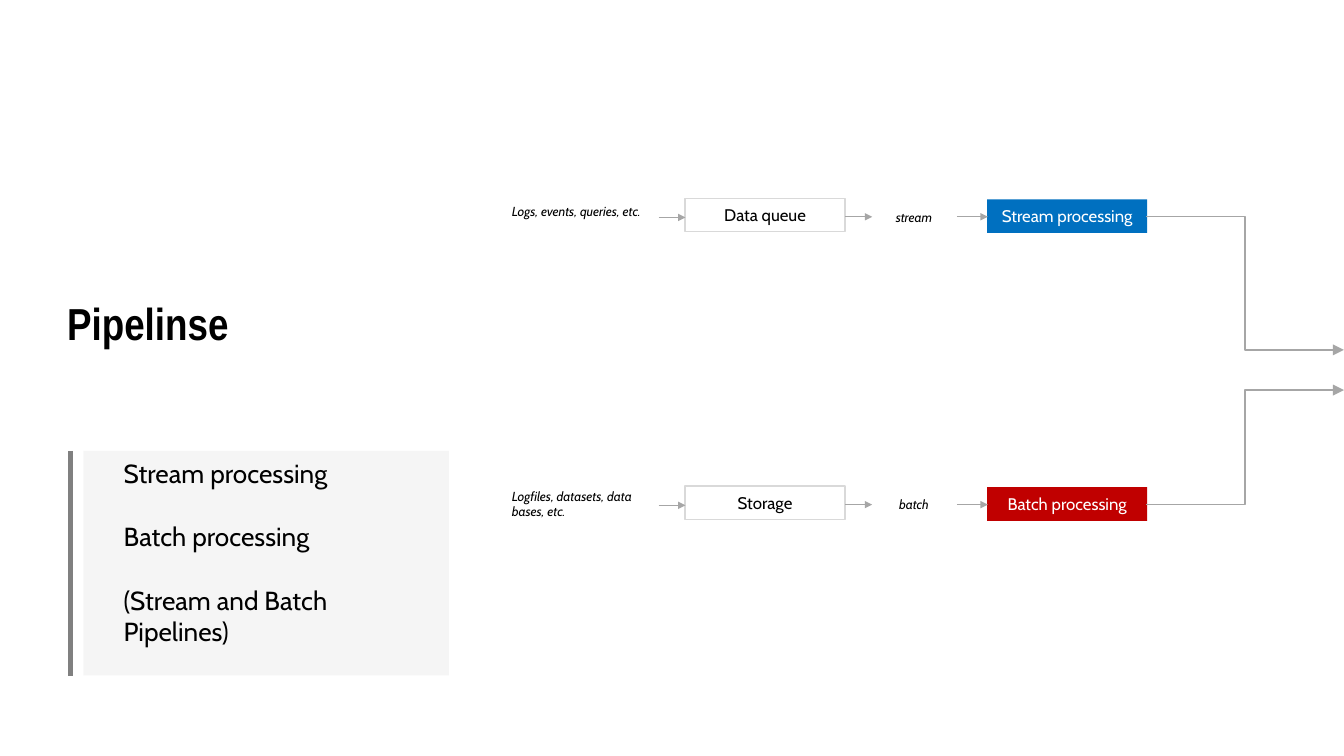
from dataclasses import dataclass

from lxml.etree import SubElement
from pptx import Presentation
from pptx.dml.color import RGBColor
from pptx.enum.shapes import MSO_CONNECTOR, MSO_SHAPE
from pptx.enum.text import MSO_ANCHOR, MSO_AUTO_SIZE, PP_ALIGN
from pptx.oxml.ns import qn
from pptx.util import Inches, Pt

GRID = Inches(0.1)
SLIDE_COLUMNS, SLIDE_ROWS = 100, 56.25
NODE_WIDTH, NODE_HEIGHT = 11.9, 2.5


@dataclass(frozen=True)
class Theme:
    heading_font: str = "Arial Narrow"
    text_font: str = "Cabin"
    ink: str = "000000"
    paper: str = "FFFFFF"
    panel: str = "EDEDED"
    panel_opacity: str = "50000"
    accent: str = "808080"
    outline: str = "D9D9D9"
    arrow: str = "A6A6A6"
    stream: str = "0070C0"
    batch: str = "C00000"
    title_size: float = 24
    list_size: float = 14
    node_size: float = 9
    label_size: float = 7
    accent_width: float = 2.75
    thin_width: float = 0.75


THEME = Theme()


def cells(*counts):
    return [round(count * GRID) for count in counts]


def color(value):
    return RGBColor.from_string(value)


def place(placeholder, *box):
    placeholder.left, placeholder.top, placeholder.width, placeholder.height = cells(*box)


def style(paragraph, size, ink=THEME.ink, font=THEME.text_font, bold=False, italic=False):
    for run in paragraph.runs:
        run.font.name = font
        run.font.size = Pt(size)
        run.font.bold = bold
        run.font.italic = italic
        run.font.color.rgb = color(ink)


def set_frame(frame, anchor):
    frame.word_wrap = True
    frame.auto_size = MSO_AUTO_SIZE.NONE
    frame.vertical_anchor = anchor


def fill_title(title, text):
    place(title, 4, 21.5, 31, 13.3)
    set_frame(title.text_frame, MSO_ANCHOR.TOP)
    title.text_frame.text = text
    heading = title.text_frame.paragraphs[0]
    heading.alignment = PP_ALIGN.LEFT
    style(heading, THEME.title_size, font=THEME.heading_font, bold=True)


def fill_list(body, topics):
    place(body, 6.2, 33.55, 27.2, 16.7)
    body.fill.solid()
    body.fill.fore_color.rgb = color(THEME.panel)
    panel_color = body._element.spPr.find(qn("a:solidFill")).find(qn("a:srgbClr"))
    SubElement(panel_color, qn("a:alpha"), val=THEME.panel_opacity)
    frame = body.text_frame
    set_frame(frame, MSO_ANCHOR.TOP)
    frame.text = "\n".join(topics)
    for index, topic in enumerate(frame.paragraphs):
        properties = topic._p.get_or_add_pPr()
        properties.set("marL", str(Inches(0.2)))
        properties.set("indent", "0")
        SubElement(properties, qn("a:buNone"))
        topic.space_before = Pt(17 if index else 0)
        style(topic, THEME.list_size)


def add_line(slide, start, end, ink, width, kind=MSO_CONNECTOR.STRAIGHT):
    connector = slide.shapes.add_connector(kind, *cells(*start, *end))
    connector.line.color.rgb = color(ink)
    connector.line.width = Pt(width)
    SubElement(connector._element.spPr, qn("a:effectLst"))
    return connector


def add_arrow(slide, start, end, kind=MSO_CONNECTOR.STRAIGHT, head="sm"):
    arrow = add_line(slide, start, end, THEME.arrow, THEME.thin_width, kind)
    outline = arrow._element.spPr.find(qn("a:ln"))
    SubElement(outline, qn("a:tailEnd"), type="triangle", w=head, len=head)


def add_label(slide, text, box, alignment=PP_ALIGN.LEFT, anchor=MSO_ANCHOR.TOP):
    label = slide.shapes.add_textbox(*cells(*box))
    set_frame(label.text_frame, anchor)
    label.text_frame.text = text
    label.text_frame.paragraphs[0].alignment = alignment
    style(label.text_frame.paragraphs[0], THEME.label_size, italic=True)


def add_node(slide, text, left, top, fill=None):
    node = slide.shapes.add_shape(
        MSO_SHAPE.RECTANGLE, *cells(left, top, NODE_WIDTH, NODE_HEIGHT))
    node.shadow.inherit = False
    if fill:
        node.fill.solid()
        node.fill.fore_color.rgb = color(fill)
        node.line.fill.background()
    else:
        node.fill.background()
        node.line.color.rgb = color(THEME.outline)
        node.line.width = Pt(THEME.thin_width)
    frame = node.text_frame
    set_frame(frame, MSO_ANCHOR.MIDDLE)
    frame.margin_left = frame.margin_right = Inches(0.05)
    frame.text = text
    frame.paragraphs[0].alignment = PP_ALIGN.CENTER
    style(frame.paragraphs[0], THEME.node_size, THEME.paper if fill else THEME.ink)


def add_pipeline(slide, axis, source, source_top, store, flow, process, fill, exit_row):
    add_label(slide, source, (37.1, source_top, NODE_WIDTH, 3.4))
    add_node(slide, store, 50.97, axis - 1.38)
    add_label(slide, flow, (64.8, axis - 1.1, 6.4, 2.2), PP_ALIGN.CENTER, MSO_ANCHOR.MIDDLE)
    add_node(slide, process, 73.45, axis - 1.3, fill)
    for start, end, drop in ((49, 51, 0.05), (62.9, 64.9, 0), (71.2, 73.5, 0)):
        add_arrow(slide, (start, axis + drop), (end, axis + drop))
    add_arrow(slide, (85.3, axis), (SLIDE_COLUMNS, exit_row), MSO_CONNECTOR.ELBOW, "med")


def main():
    presentation = Presentation()
    presentation.slide_width, presentation.slide_height = cells(SLIDE_COLUMNS, SLIDE_ROWS)
    slide = presentation.slides.add_slide(presentation.slide_layouts[1])
    fill_title(slide.shapes.title, "Pipelinse")
    fill_list(slide.placeholders[1],
              ["Stream processing", "Batch processing", "(Stream and Batch Pipelines)"])
    add_line(slide, (5.25, 33.55), (5.25, 50.3), THEME.accent, THEME.accent_width)
    add_pipeline(slide, 16.13, "Logs, events, queries, etc.", 14.65, "Data queue",
                 "stream", "Stream processing", THEME.stream, 26.03)
    add_pipeline(slide, 37.55, "Logfiles, datasets, data bases, etc.", 35.83, "Storage",
                 "batch", "Batch processing", THEME.batch, 29.03)
    presentation.save("out.pptx")


if __name__ == "__main__":
    main()
